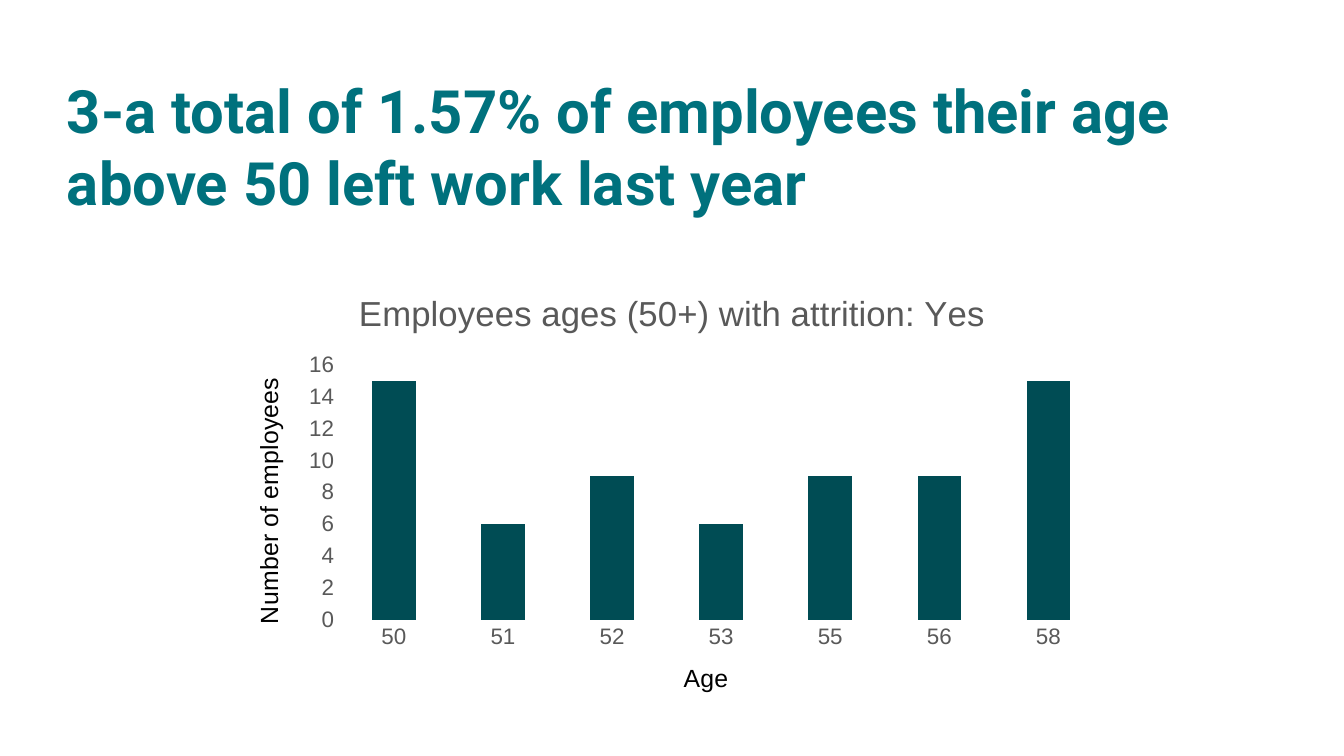
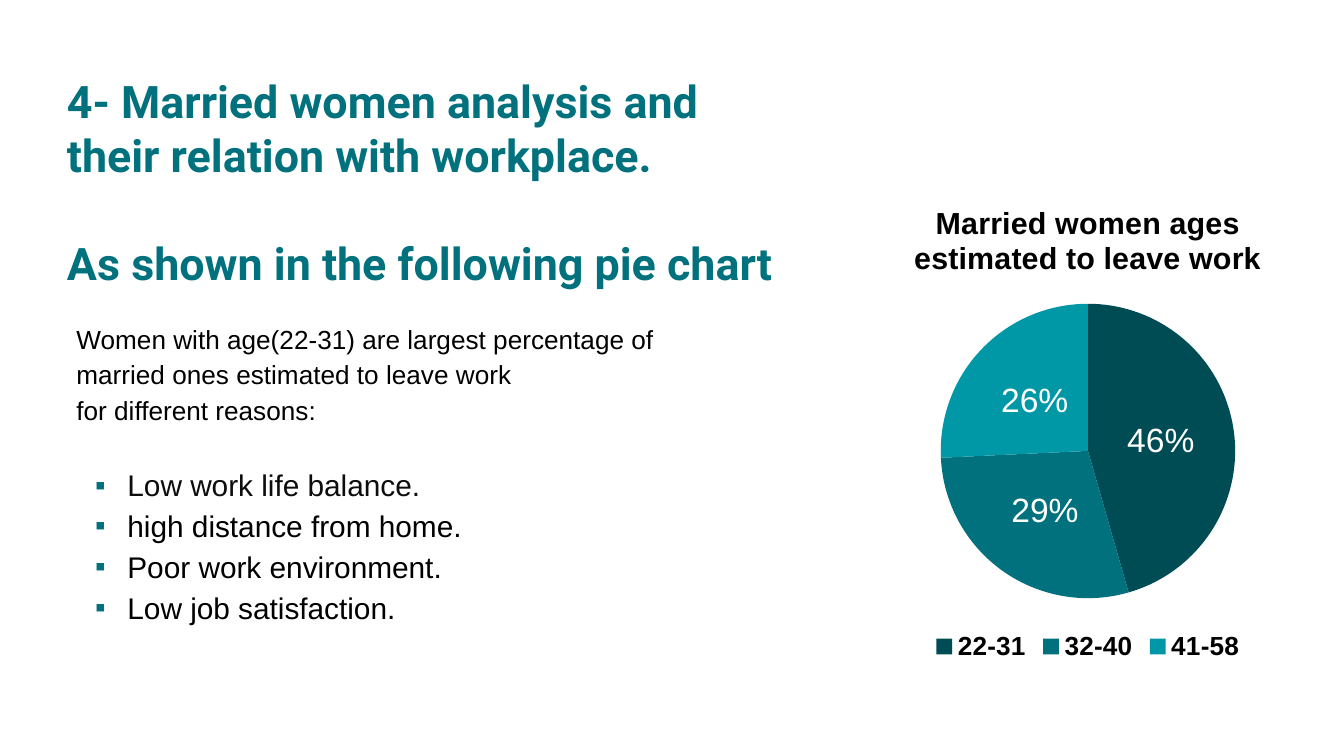
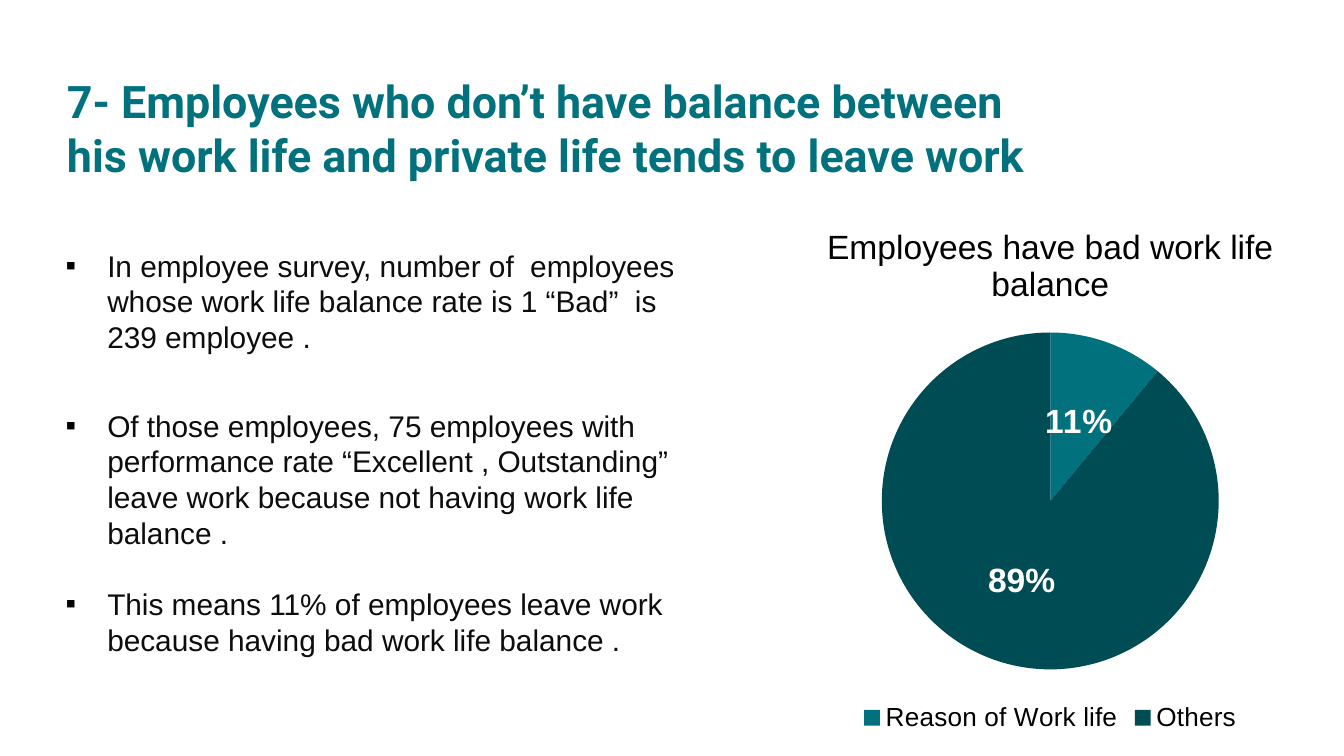
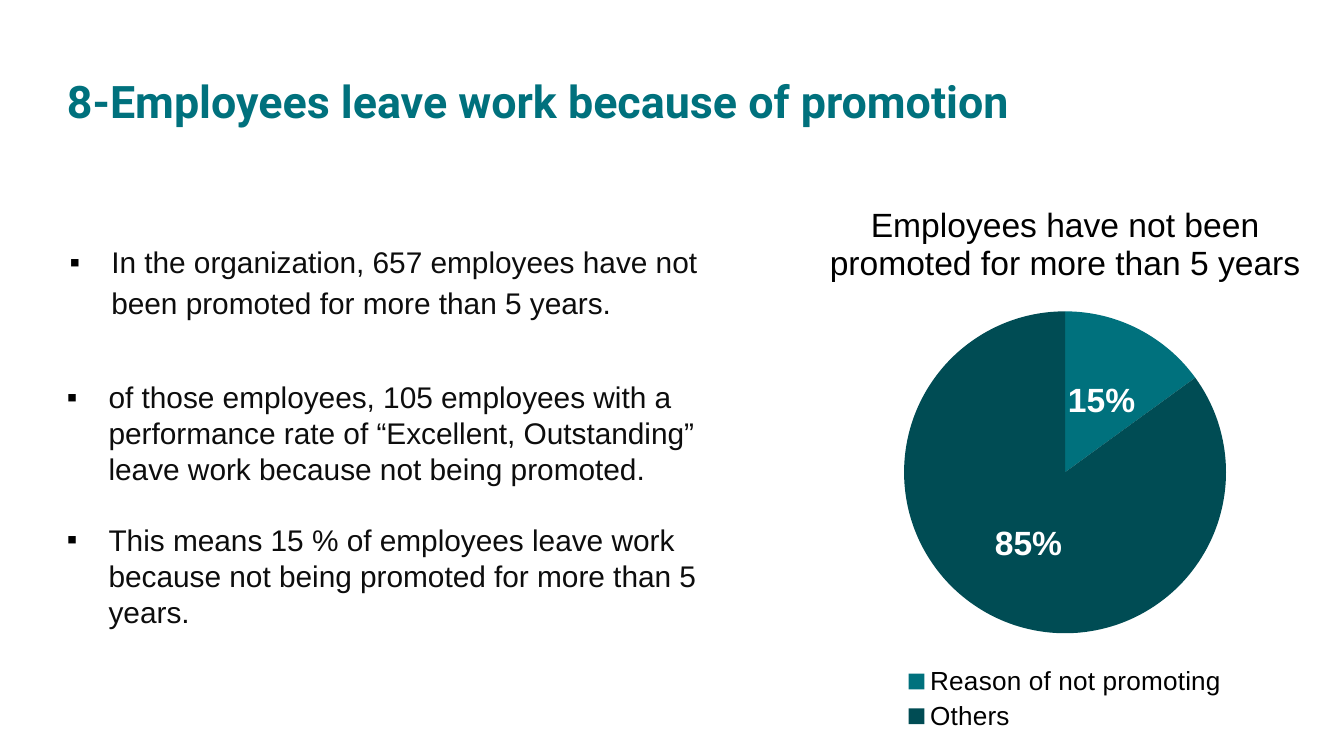
from lxml import etree
from pptx import Presentation
from pptx.chart.data import CategoryChartData
from pptx.dml.color import RGBColor
from pptx.enum.chart import (XL_CHART_TYPE, XL_LABEL_POSITION,
                             XL_LEGEND_POSITION, XL_TICK_MARK)
from pptx.oxml.ns import qn
from pptx.util import Inches, Pt

COLUMN, PIE = XL_CHART_TYPE.COLUMN_CLUSTERED, XL_CHART_TYPE.PIE
CENTER = XL_LABEL_POSITION.CENTER
BOTTOM = XL_LEGEND_POSITION.BOTTOM
NO_TICK = XL_TICK_MARK.NONE

DARK = RGBColor(0x00, 0x4C, 0x54)
TEAL = RGBColor(0x00, 0x71, 0x7D)
LIGHT = RGBColor(0x00, 0x97, 0xA7)
BLACK = RGBColor(0x00, 0x00, 0x00)
INK = RGBColor(0x0D, 0x0D, 0x0D)
GRAY = RGBColor(0x59, 0x59, 0x59)
WHITE = RGBColor(0xFF, 0xFF, 0xFF)

HEAD_FONT, BODY_FONT = "Roboto", "Arial"
LOOSE = 1.14

# 16:9 page
prs = Presentation()
prs.slide_width = Inches(10)
prs.slide_height = Inches(10) * 9 // 16


def new_slide():
    s = prs.slides.add_slide(prs.slide_layouts[6])
    s.background.fill.solid()
    s.background.fill.fore_color.rgb = WHITE
    return s


def style(font, size, color, bold=False, name=BODY_FONT):
    font.size, font.bold, font.name = Pt(size), bold, name
    font.color.rgb = color


def add_bullet(p, color, left, hang):
    pPr = p._p.get_or_add_pPr()
    pPr.set("marL", str(Inches(left)))
    pPr.set("indent", str(-Inches(hang)))
    clr = etree.SubElement(pPr, qn("a:buClr"))
    etree.SubElement(clr, qn("a:srgbClr")).set("val", str(color))
    etree.SubElement(pPr, qn("a:buFont")).set("typeface", BODY_FONT)
    etree.SubElement(pPr, qn("a:buChar")).set("char", "▪")


def add_box(s, box, top=0.1, bottom=0.1):
    tf = s.shapes.add_textbox(*map(Inches, box)).text_frame
    tf.word_wrap = True
    tf.margin_left = tf.margin_right = Inches(0.1)
    tf.margin_top, tf.margin_bottom = Inches(top), Inches(bottom)
    return tf


def add_lines(tf, lines, size, color, spacing=None, gap=0, name=BODY_FONT,
              bold=False):
    """Append one paragraph per line, with a gap in points between them."""
    added = []
    for text in lines:
        p = tf.paragraphs[0] if not tf.text else tf.add_paragraph()
        p.text = text
        style(p.runs[0].font, size, color, bold, name)
        if spacing:
            p.line_spacing = spacing
        if added and gap:
            p.space_before = Pt(gap)
        added.append(p)
    return added


def add_title(s, lines, width, height, size=24):
    tf = add_box(s, (0.4, 0.45, width, height))
    add_lines(tf, lines, size, TEAL, gap=29, name=HEAD_FONT, bold=True)


def add_bullets(s, box, lines, left=0.31, top=0.1, bottom=0.1, spacing=None):
    tf = add_box(s, box, top, bottom)
    for p in add_lines(tf, lines, 16, INK, spacing, gap=18.9):
        add_bullet(p, BLACK, left, 0.31)


def set_title(holder, text, size, color, bold=False):
    tf = holder.text_frame
    tf.text = text
    style(tf.paragraphs[0].runs[0].font, size, color, bold)


def add_chart(s, kind, box, title, data, size, color, bold=False):
    cd = CategoryChartData()
    cd.categories = list(data)
    cd.add_series("Series 1", list(data.values()))
    chart = s.shapes.add_chart(kind, *map(Inches, box), cd).chart
    style(chart.font, 10, BLACK)
    chart.has_title = True
    set_title(chart.chart_title, title, size, color, bold)
    return chart


def add_column_chart(s, box, title, data):
    chart = add_chart(s, COLUMN, box, title, data, 18.6, GRAY)
    chart.has_legend = False
    plot = chart.plots[0]
    plot.gap_width, plot.vary_by_categories = 150, False
    fill = plot.series[0].format.fill
    fill.solid()
    fill.fore_color.rgb = DARK
    for axis, name in ((chart.category_axis, "Age"),
                       (chart.value_axis, "Number of employees")):
        set_title(axis.axis_title, name, 13.3, BLACK)
        style(axis.tick_labels.font, 12, GRAY)
        axis.has_major_gridlines = False
        axis.major_tick_mark = axis.minor_tick_mark = NO_TICK
        axis.format.line.fill.background()
    axis = chart.value_axis
    axis.minimum_scale, axis.maximum_scale, axis.major_unit = 0, 16, 2


def add_pie_chart(s, box, title, data, colors, title_size=18, strong=False):
    """A strong pie has a bold title and legend, otherwise bold labels."""
    chart = add_chart(s, PIE, box, title, data, title_size, BLACK, strong)
    chart.has_legend = True
    chart.legend.position = BOTTOM
    chart.legend.include_in_layout = False
    style(chart.legend.font, 14, BLACK, strong)
    plot = chart.plots[0]
    plot.vary_by_categories = True
    for i, color in enumerate(colors):
        fill = plot.series[0].points[i].format.fill
        fill.solid()
        fill.fore_color.rgb = color
    plot.has_data_labels = True
    labels = plot.data_labels
    labels.show_percentage, labels.show_value = True, False
    labels.number_format, labels.number_format_is_linked = "0%", False
    labels.position = CENTER
    style(labels.font, 18, WHITE, not strong)


# Slide 1: leavers above 50
s = new_slide()
add_title(s, ["3-a total of 1.57% of employees their age above 50 left work "
              "last year"], 9.52, 1.32, 32)
add_column_chart(s, (1.67, 1.99, 6.67, 3.39),
                 "Employees ages (50+) with attrition: Yes",
                 {"50": 15, "51": 6, "52": 9, "53": 6, "55": 9, "56": 9,
                  "58": 15})

# Slide 2: married women
s = new_slide()
add_title(s, ["4- Married women analysis and their relation with workplace.",
              "As shown in the following pie chart"], 5.53, 0.63)
add_pie_chart(s, (6.19, 1.34, 3.81, 3.62),
              "Married women ages estimated to leave work",
              {"22-31": 46, "32-40": 29, "41-58": 26}, (DARK, TEAL, LIGHT),
              16.3, strong=True)
tf = add_box(s, (0.47, 2.27, 5.86, 2.64))
add_lines(tf, ["Women with age(22-31) are largest percentage of",
               "married ones estimated to leave work",
               "for different reasons:"], 14, BLACK, LOOSE)
reasons = add_lines(tf, ["Low work life balance.", "high distance from home.",
                         "Poor work environment.", "Low job satisfaction."],
                    16, BLACK, LOOSE)
reasons[0].runs[0].font.color.rgb = INK
reasons[0].space_before = Pt(19.4)
for p in reasons:
    add_bullet(p, TEAL, 0.38, 0.24)

# Slide 3: work life balance
s = new_slide()
add_title(s, ["7- Employees who don’t have balance between his work life and "
              "private life tends to leave work"], 7.55, 0.88)
add_bullets(s, (0.39, 2.66, 5.24, 3.61),
            ["Of those employees, 75 employees with performance rate "
             "“Excellent , Outstanding” leave work because not having work "
             "life balance .",
             "This means 11% of employees leave work because having bad work "
             "life balance ."], top=0.37)
add_pie_chart(s, (5.66, 1.49, 4.31, 4), "Employees have bad work life balance",
              {"Reason of Work life": 11, "Others": 89}, (TEAL, DARK))
add_bullets(s, (0.39, 1.79, 4.77, 1.18),
            ["In employee survey, number of  employees whose work life "
             "balance rate is 1 “Bad”  is 239 employee ."],
            top=0.05, bottom=0.05)

# Slide 4: promotion
s = new_slide()
add_title(s, ["8-Employees leave work because of promotion"], 7.55, 0.88)
add_bullets(s, (0.4, 2.18, 5.24, 3.61),
            ["of those employees, 105 employees with a performance rate of "
             "“Excellent, Outstanding” leave work because not being promoted.",
             "This means 15 % of employees leave work because not being "
             "promoted for more than 5 years."], top=0.64)
add_pie_chart(s, (5.66, 1.33, 4.53, 4.15),
              "Employees have not been promoted for more than 5 years",
              {"Reason of not promoting": 15, "Others": 85}, (TEAL, DARK))
add_bullets(s, (0.28, 1.73, 5.13, 0.71),
            ["In the organization, 657 employees have not been promoted for "
             "more than 5 years."],
            left=0.45, top=0.05, bottom=0.05, spacing=LOOSE)

prs.save("out.pptx")
